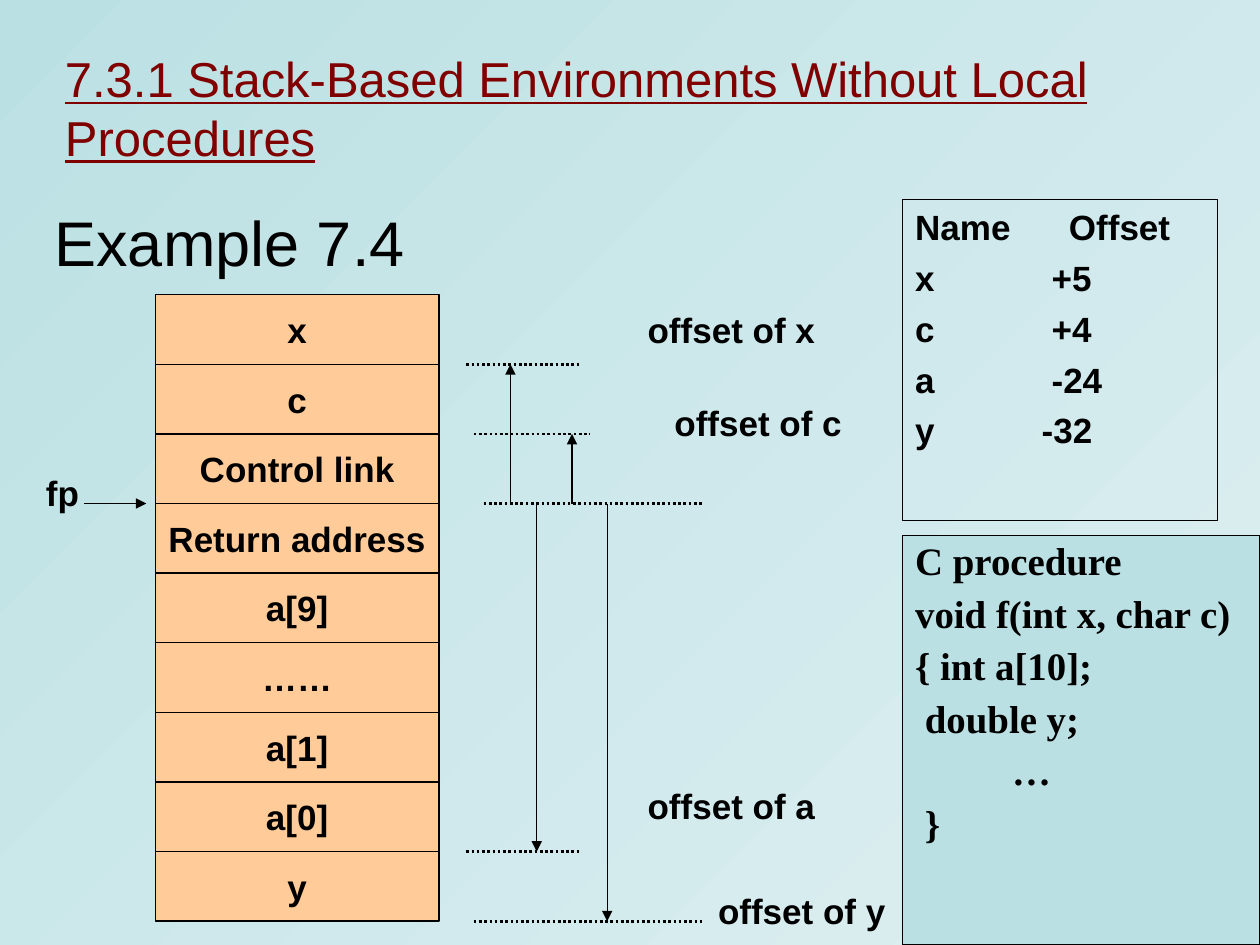
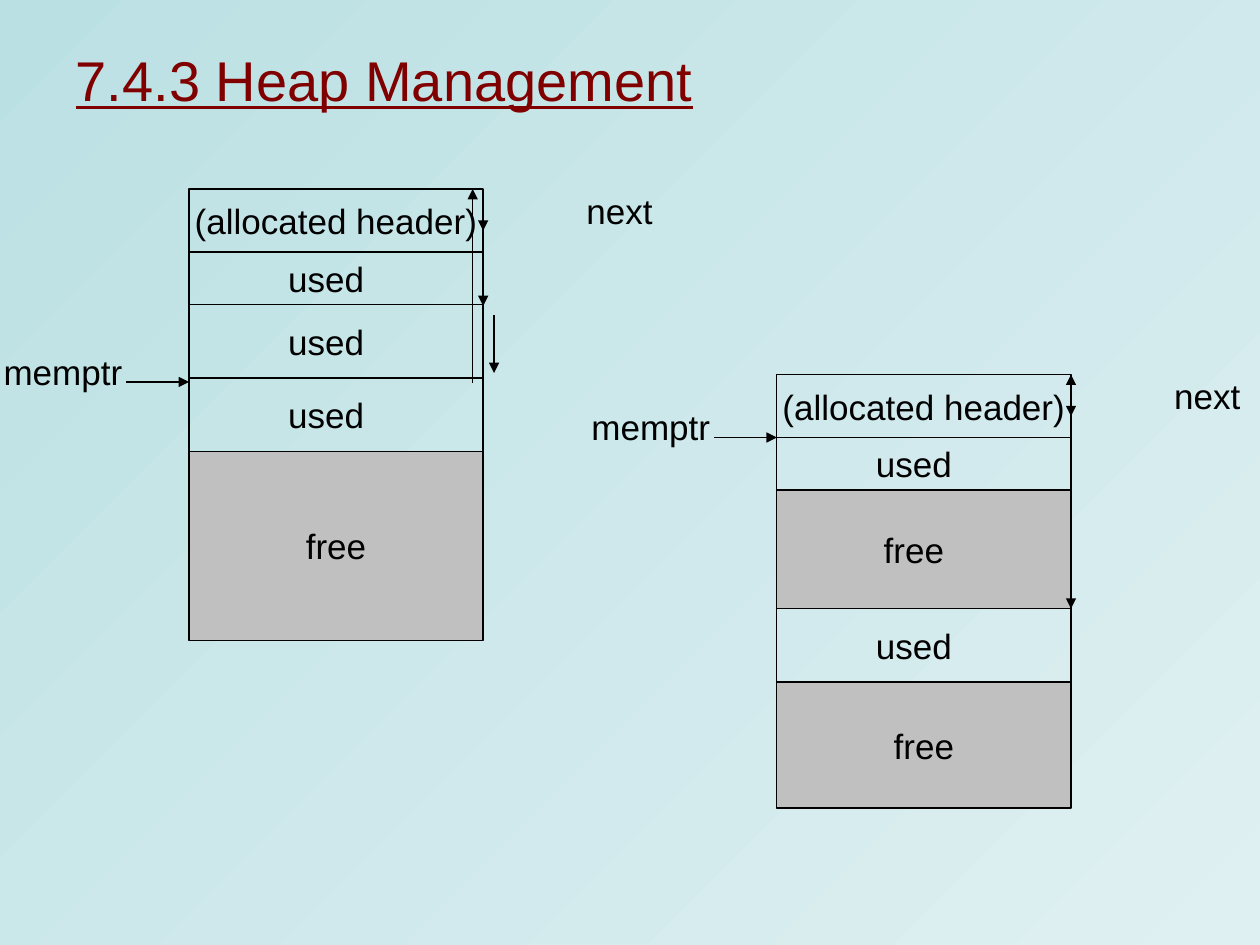
import lxml.etree
import pptx
import pptx.dml.color
import pptx.enum.dml
import pptx.enum.shapes
import pptx.enum.text
import pptx.oxml.ns
import pptx.util

Cm, Pt = pptx.util.Cm, pptx.util.Pt
RGBColor = pptx.dml.color.RGBColor
Align = pptx.enum.text.PP_ALIGN
Anchor = pptx.enum.text.MSO_ANCHOR
qn = pptx.oxml.ns.qn

# Shared look
BLACK = RGBColor(0x00, 0x00, 0x00)
MAROON = RGBColor(0x80, 0x00, 0x00)
PEACH = RGBColor(0xFF, 0xCC, 0x99)
GREY = RGBColor(0xC0, 0xC0, 0xC0)
TEAL = RGBColor(0xBB, 0xE0, 0xE3)
PALE = RGBColor(0xDF, 0xF0, 0xF2)
SANS, SERIF = "Arial", "Times New Roman"
INSET_X, INSET_Y = 0.25, 0.13

# Content: stack environment (lengths in cm, edges counted from the stack top)
STACK_TITLE = "7.3.1 Stack-Based Environments Without Local Procedures"
EXAMPLE = "Example 7.4"
STACK_CELLS = ["x", "c", "Control link", "Return address", "a[9]", "……",
               "a[1]", "a[0]", "y"]
STACK_LEFT, STACK_WIDTH, STACK_TOP, STACK_BOTTOM = 3.13, 5.72, 5.94, 18.57
FP_EDGE = 3
GUIDES = [(1, 9.4, 11.71), (2, 9.55, 11.89), (FP_EDGE, 9.75, 14.2),
          (8, 9.4, 11.71), (9, 9.55, 14.2)]  # edge, from x, to x
OFFSET_WIDTH = 3.63
OFFSETS = [  # name, edge, arrow x, label left, label top
    ("x", 1, 10.29, 12.93, 5.94),
    ("c", 2, 11.53, 13.47, 7.82),
    ("a", 8, 10.82, 12.93, 15.54),
    ("y", 9, 12.24, 14.35, 17.65),
]
OFFSET_TABLE = [  # name, value, tab stop
    ("Name", "Offset", 3.1), ("x", "+5", 2.75), ("c", "+4", 2.75),
    ("a", "-24", 2.75), ("y", "-32", 2.55),
]
CODE = ["C procedure", "void f(int x, char c)", "{ int a[10];",
        " double y;", "          …", " }"]

# Content: heaps (links are relative to the heap's top left corner)
HEAP_TITLE = "7.4.3 Heap Management"
HEAP_WIDTH = 5.93
HEADER = ("(allocated header)", 1.27)
HEAPS = [
    {"left": 3.81, "top": 3.81, "memptr": 3.89,
     "cells": [HEADER, ("used", 1.06), ("used", 1.48), ("used", 1.48),
               ("free", 3.81)],
     "links": [(5.93, 1.19, 2.36), (6.15, 2.54, 3.71), (5.72, 3.91, 0)]},
    {"left": 15.66, "top": 7.55, "memptr": 1.27,
     "cells": [HEADER, ("used", 1.06), ("free", 2.39), ("used", 1.48),
               ("free", 2.54)],
     "links": [(5.93, 1.32, 4.72), (5.93, 4.85, 0)]},
]


def add_page(deck):
    page = deck.slides.add_slide(deck.slide_layouts[6])
    fill = page.background.fill
    fill.gradient()
    fill.gradient_angle = 315
    for stop, color in zip(fill.gradient_stops, (TEAL, PALE)):
        stop.color.rgb = color
    return page


def add_span(para, text, size=20, bold=False, color=BLACK, font=SANS,
             underline=False):
    span = para.add_run()
    span.text = text
    span.font.name, span.font.size = font, Pt(size)
    span.font.bold, span.font.underline = bold, underline
    span.font.color.rgb = color


def set_frame(box, anchor, wrap, left_inset=INSET_X, right_inset=INSET_X):
    frame = box.text_frame
    frame.word_wrap = wrap
    frame.vertical_anchor = anchor
    frame.margin_left, frame.margin_right = Cm(left_inset), Cm(right_inset)
    frame.margin_top = frame.margin_bottom = Cm(INSET_Y)
    return frame


def add_text(page, text, left, top, width, height, anchor=Anchor.MIDDLE,
             **style):
    box = page.shapes.add_textbox(Cm(left), Cm(top), Cm(width), Cm(height))
    para = set_frame(box, anchor, True).paragraphs[0]
    add_span(para, text, **style)


def add_label(page, text, left, top, width, height, bold=False):
    box = page.shapes.add_textbox(Cm(left), Cm(top), Cm(width), Cm(height))
    para = set_frame(box, Anchor.MIDDLE, False, 0, 0).paragraphs[0]
    para.alignment = Align.CENTER
    add_span(para, text, bold=bold)


def add_title(page, text, left, top, width, height, size, anchor):
    add_text(page, text, left, top, width, height, anchor,
             size=size, color=MAROON, underline=True)


def add_box(page, left, top, width, height, color=None):
    box = page.shapes.add_shape(pptx.enum.shapes.MSO_SHAPE.RECTANGLE,
                                Cm(left), Cm(top), Cm(width), Cm(height))
    box.shadow.inherit = False
    if color is None:
        box.fill.background()
    else:
        box.fill.solid()
        box.fill.fore_color.rgb = color
    box.line.color.rgb = BLACK
    box.line.width = Pt(0.75)
    return box


def add_cell(page, text, left, top, width, height, color=None, bold=False,
             nudge=0):
    box = add_box(page, left, top, width, height, color)
    frame = set_frame(box, Anchor.MIDDLE, False, right_inset=INSET_X + nudge)
    para = frame.paragraphs[0]
    para.alignment = Align.CENTER
    add_span(para, text, bold=bold)


def add_line(page, x1, y1, x2, y2, arrow=True):
    line = page.shapes.add_connector(pptx.enum.shapes.MSO_CONNECTOR.STRAIGHT,
                                     Cm(x1), Cm(y1), Cm(x2), Cm(y2))
    line.line.color.rgb = BLACK
    line.line.width = Pt(0.75 if arrow else 1.5)
    if arrow:
        lxml.etree.SubElement(line.line._get_or_add_ln(), qn("a:tailEnd"),
                              type="triangle")
    else:
        line.line.dash_style = pptx.enum.dml.MSO_LINE.ROUND_DOT
    lxml.etree.SubElement(line._element.spPr, qn("a:effectLst"))


def add_paras(box, count, space_before):
    frame = set_frame(box, Anchor.TOP, True)
    for index in range(count):
        para = frame.add_paragraph() if index else frame.paragraphs[0]
        para.alignment = Align.LEFT
        para.space_before = Pt(space_before if index else 0)
    return frame.paragraphs


def add_tab(para, position):
    tabs = lxml.etree.SubElement(para._p.get_or_add_pPr(), qn("a:tabLst"))
    lxml.etree.SubElement(tabs, qn("a:tab"), pos=str(Cm(position)), algn="l")


def build_stack_page(deck):
    page = add_page(deck)
    row = (STACK_BOTTOM - STACK_TOP) / len(STACK_CELLS)
    edges = [STACK_TOP + row * i for i in range(len(STACK_CELLS) + 1)]
    fp = edges[FP_EDGE]

    add_text(page, EXAMPLE, 0.85, 4.23, 21.59, 1.27, size=36)

    # Stack and frame pointer
    for text, top in zip(STACK_CELLS, edges):
        add_cell(page, text, STACK_LEFT, top, STACK_WIDTH, row, PEACH, bold=True)
    add_line(page, 1.7, fp, 2.95, fp)
    add_label(page, "fp", 0.64, 8.99, 1.24, 1.88, bold=True)

    # Offsets measured from the frame pointer
    for edge, start, end in GUIDES:
        add_line(page, start, edges[edge], end, edges[edge], arrow=False)
    for name, edge, x, left, top in OFFSETS:
        add_line(page, x, fp, x, edges[edge])
        add_label(page, f"offset of {name}", left, top, OFFSET_WIDTH, 1.4,
                  bold=True)

    add_title(page, STACK_TITLE, 1.06, 0.85, 23.5, 2.64, 28, Anchor.TOP)

    # Offset list
    box = add_box(page, 18.2, 4.02, 6.35, 6.48)
    paras = add_paras(box, len(OFFSET_TABLE), 5)
    for para, (name, value, stop) in zip(paras, OFFSET_TABLE):
        add_tab(para, stop)
        add_span(para, f"{name}\t{value}", bold=True)

    # Source code
    box = add_box(page, 18.2, 10.8, 7.2, 8.25, TEAL)
    for para, text in zip(add_paras(box, len(CODE), 6), CODE):
        para.line_spacing = 0.9
        add_span(para, text, size=22.2, bold=True, font=SERIF)


def add_heap(page, heap):
    left, top = heap["left"], heap["top"]
    cell_top = top
    last = len(heap["cells"]) - 1
    for index, (text, height) in enumerate(heap["cells"]):
        add_cell(page, text, left, cell_top, HEAP_WIDTH, height,
                 GREY if text == "free" else None,
                 nudge=0.4 if 0 < index < last else 0)
        cell_top += height

    pointer = top + heap["memptr"]
    add_line(page, left - 1.27, pointer, left, pointer)
    add_label(page, "memptr", left - 3.81, pointer - 0.64, 2.54, 0.85)
    add_label(page, "next", left + 7.62, top, 2.12, 0.85)
    for x, start, end in [(HEAP_WIDTH, 0.41, 0.84)] + heap["links"]:
        add_line(page, left + x, top + start, left + x, top + end)


def build_heap_page(deck):
    page = add_page(deck)
    add_title(page, HEAP_TITLE, 1.28, 0.43, 23.71, 2.33, 32, Anchor.MIDDLE)
    for heap in HEAPS:
        add_heap(page, heap)


def main():
    deck = pptx.Presentation()
    deck.slide_width, deck.slide_height = Cm(25.4), Cm(19.05)
    build_stack_page(deck)
    build_heap_page(deck)
    deck.save("out.pptx")


if __name__ == "__main__":
    main()
